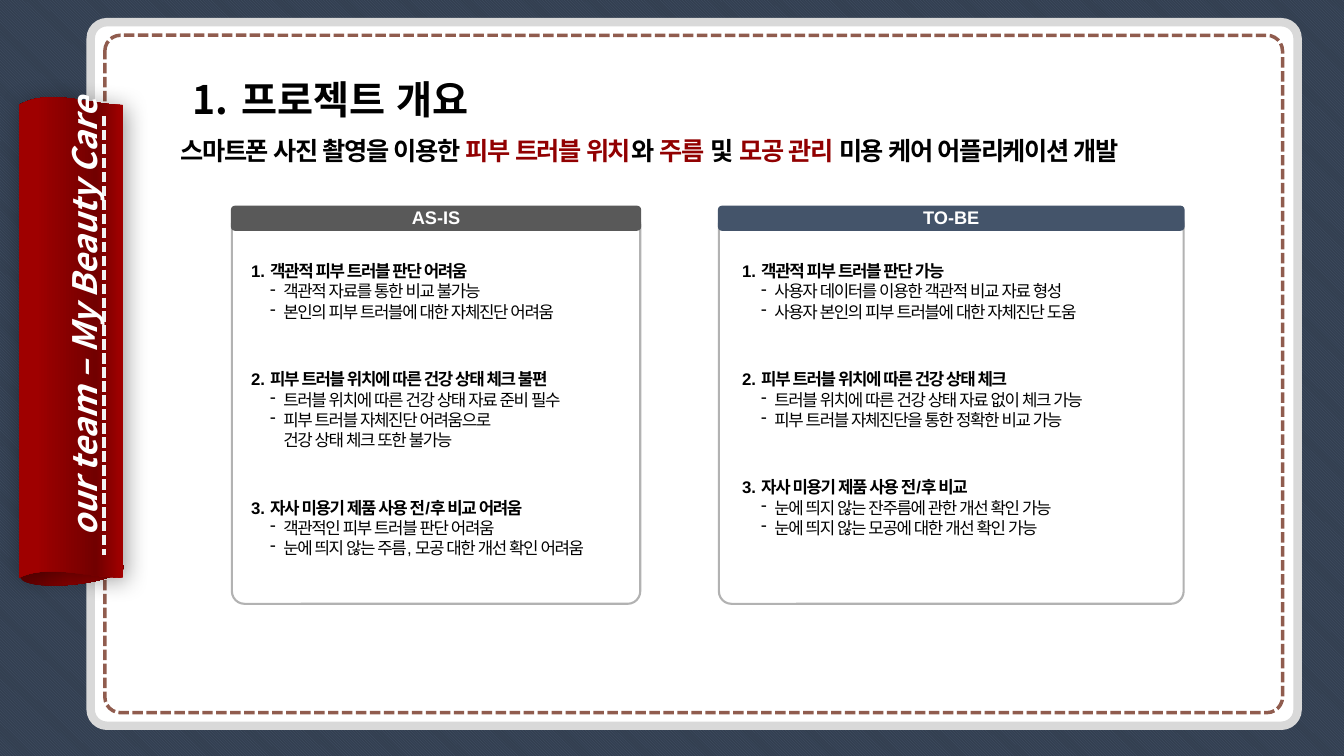
from lxml.etree import SubElement
from pptx import Presentation
from pptx.dml.color import RGBColor
from pptx.enum.dml import MSO_LINE, MSO_PATTERN
from pptx.enum.shapes import MSO_CONNECTOR, MSO_SHAPE
from pptx.enum.text import MSO_ANCHOR, PP_ALIGN
from pptx.oxml.ns import qn
from pptx.util import Inches, Pt

COLORS = {
    "white": "FFFFFF", "black": "000000", "slate": "44546A", "night": "333F50",
    "frame": "D9D9D9", "stitch": "905C4E", "thread": "F2F2F2", "accent": "910001",
    "border": "B2B2B2", "gray": "595959",
}
KOREAN = "Noto Sans CJK KR"
COLUMNS, ROWS = 133.3, 75

AS_IS = [
    ("객관적 피부 트러블 판단 어려움",
     ["객관적 자료를 통한 비교 불가능", "본인의 피부 트러블에 대한 자체진단 어려움"]),
    ("피부 트러블 위치에 따른 건강 상태 체크 불편",
     ["트러블 위치에 따른 건강 상태 자료 준비 필수",
      "피부 트러블 자체진단 어려움으로\v건강 상태 체크 또한 불가능"]),
    ("자사 미용기 제품 사용 전/후 비교 어려움",
     ["객관적인 피부 트러블 판단 어려움", "눈에 띄지 않는 주름, 모공 대한 개선 확인 어려움"]),
]
TO_BE = [
    ("객관적 피부 트러블 판단 가능",
     ["사용자 데이터를 이용한 객관적 비교 자료 형성",
      "사용자 본인의 피부 트러블에 대한 자체진단 도움"]),
    ("피부 트러블 위치에 따른 건강 상태 체크",
     ["트러블 위치에 따른 건강 상태 자료 없이 체크 가능",
      "피부 트러블 자체진단을 통한 정확한 비교 가능"]),
    ("자사 미용기 제품 사용 전/후 비교",
     ["눈에 띄지 않는 잔주름에 관한 개선 확인 가능", "눈에 띄지 않는 모공에 대한 개선 확인 가능"]),
]


def rgb(name):
    return RGBColor.from_string(COLORS[name])


def add_span(para, text, size=12, font="Arial", color="black", bold=False, italic=False, spacing=0):
    span = para.add_run()
    span.text = text
    span.font.size, span.font.bold, span.font.italic = Pt(size), bold, italic
    span.font.name, span.font.color.rgb = font, rgb(color)
    properties = span.font._element
    properties.set("lang", "ko-KR")
    if spacing:
        properties.set("spc", str(spacing * 100))
    SubElement(properties, qn("a:ea")).set("typeface", font)


def add_bullet(para, margin, hanging, number=None):
    properties = para._p.get_or_add_pPr()
    properties.set("marL", str(Inches(margin)))
    properties.set("indent", str(-Inches(hanging)))
    if number:
        mark = SubElement(properties, qn("a:buAutoNum"), type="arabicPeriod")
        mark.set("startAt", str(number))
    else:
        SubElement(properties, qn("a:buChar"), char="-")


def fill_gradient(shape, stops, angle):
    shape.fill.gradient()
    gradient = shape._element.spPr.find(qn("a:gradFill"))
    stop_list = gradient.find(qn("a:gsLst"))
    stop_list.clear()
    for position, color in stops:
        stop = SubElement(stop_list, qn("a:gs"), pos=str(position * 1000))
        SubElement(stop, qn("a:srgbClr"), val=color)
    gradient.find(qn("a:lin")).set("ang", str(angle * 60000))


def curve(start, first, second, end, steps=24):
    for step in range(steps + 1):
        t = step / steps
        weights = ((1 - t) ** 3, 3 * t * (1 - t) ** 2, 3 * t * t * (1 - t), t ** 3)
        yield tuple(sum(w * point[axis] for w, point in zip(weights, (start, first, second, end)))
                    for axis in (0, 1))


class Page:
    def __init__(self, deck):
        self.column = deck.slide_width / COLUMNS
        self.row = deck.slide_height / ROWS
        self.slide = deck.slides.add_slide(deck.slide_layouts[6])
        self.shapes = self.slide.shapes

    def place(self, left, top, width, height):
        return [round(left * self.column), round(top * self.row),
                round(width * self.column), round(height * self.row)]

    def background(self):
        fill = self.slide.background.fill
        fill.patterned()
        fill.pattern = MSO_PATTERN.DARK_DOWNWARD_DIAGONAL
        fill.fore_color.rgb, fill.back_color.rgb = rgb("slate"), rgb("night")

    def shape(self, area, kind=MSO_SHAPE.ROUNDED_RECTANGLE, corner=None, fill=None,
              line=None, weight=1, dash=None):
        shape = self.shapes.add_shape(kind, *self.place(*area))
        shape.shadow.inherit = False
        if corner is not None:
            shape.adjustments[0] = corner
        if fill:
            shape.fill.solid()
            shape.fill.fore_color.rgb = rgb(fill)
        else:
            shape.fill.background()
        if line:
            self.stroke(shape, line, weight, dash)
        else:
            shape.line.fill.background()
        return shape

    def stroke(self, shape, color, weight, dash=None):
        shape.line.color.rgb, shape.line.width = rgb(color), Pt(weight)
        if dash:
            shape.line.dash_style = dash

    def text_box(self, area, inset=0, rotation=0):
        box = self.shapes.add_textbox(*self.place(*area))
        box.rotation = rotation
        frame = box.text_frame
        frame.word_wrap = True
        frame.margin_left = frame.margin_right = Inches(inset)
        frame.margin_top = frame.margin_bottom = Inches(inset / 2)
        return frame

    def ribbon(self):
        curl = self.shape((2, 55.5, 10.3, 2.5), MSO_SHAPE.OVAL)
        curl.rotation = 354.3
        fill_gradient(curl, [(0, "600000"), (50, "890000"), (100, "A20000")], 0)
        outline = [*curve((1.9, 10.4), (5, 8.7), (8.8, 10.4), (12.2, 10.4)),
                   *curve((12.2, 57.3), (8.8, 57.3), (4.8, 55.9), (1.9, 57.3))]
        points = [(x * self.column, y * self.row) for x, y in outline]
        builder = self.shapes.build_freeform(*points[0], scale=1)
        builder.add_line_segments(points[1:], close=True)
        band = builder.convert_to_shape()
        band.shadow.inherit = False
        fill_gradient(band, [(0, "A20000"), (26, "720000"), (84, "9F0000")], 180)
        band.line.fill.background()
        shadow = SubElement(band._element.spPr.find(qn("a:effectLst")), qn("a:outerShdw"),
                            blurRad=str(Pt(17)), dist=str(Pt(3)), dir="2700000")
        tint = SubElement(shadow, qn("a:srgbClr"), val=COLORS["black"])
        SubElement(tint, qn("a:alpha"), val="40000")
        self.stitch(10.3, 11.5, 55.1)

    def stitch(self, column, top, bottom):
        x, y, _, end = self.place(column, top, 0, bottom)
        seam = self.shapes.add_connector(MSO_CONNECTOR.STRAIGHT, x, y, x, end)
        self.stroke(seam, "thread", 2.5, MSO_LINE.SQUARE_DOT)
        SubElement(seam._element.spPr, qn("a:effectLst"))

    def panel(self, left, width, title, color, topics, indent):
        self.shape((left, 21, width, 38.9), corner=0.032, line="border", weight=1.5)
        header = self.shape((left - 0.1, 20.4, width + 0.2, 2.5), corner=0.167, fill=color)
        header.text_frame.word_wrap = False
        header.text_frame.vertical_anchor = MSO_ANCHOR.MIDDLE
        para = header.text_frame.paragraphs[0]
        para.alignment, para.line_spacing = PP_ALIGN.CENTER, 0.9
        add_span(para, title, size=13, color="white", bold=True)
        frame = self.text_box((left + indent, 25.9, width - 3.9, 33))
        for number, (heading, details) in enumerate(topics, 1):
            para = frame.paragraphs[0] if number == 1 else frame.add_paragraph()
            if number > 1:
                para.space_before = Pt(34)
            add_bullet(para, 0.19, 0.19, number)
            add_span(para, heading, bold=True, spacing=-1)
            for detail in details:
                para = frame.add_paragraph()
                add_bullet(para, 0.32, 0.13)
                for index, line in enumerate(detail.split("\v")):
                    if index:
                        para.add_line_break()
                    add_span(para, line, spacing=-1)


def main():
    deck = Presentation()
    deck.slide_width, deck.slide_height = Inches(13.33), Inches(7.5)
    page = Page(deck)
    page.background()
    page.shape((9, 2.2, 119.7, 69.8), corner=0.023, fill="white", line="frame", weight=6)
    page.shape((10.4, 3.5, 116.8, 67.2), corner=0.023, line="stitch", weight=2.5,
               dash=MSO_LINE.SQUARE_DOT)
    page.ribbon()

    title = page.text_box((4.2, 7, 57.2, 5.7), inset=0.1).paragraphs[0]
    title.alignment = PP_ALIGN.CENTER
    add_bullet(title, 0.38, 0.38, 1)
    add_span(title, " 프로젝트 개요", size=28, font=KOREAN, bold=True)

    label = page.text_box((-16.9, 27.2, 47.8, 6.3), inset=0.1, rotation=270).paragraphs[0]
    label.line_spacing = 1.5
    add_span(label, "our team – My Beauty Care", size=24, font=KOREAN, color="white",
             bold=True, italic=True)

    summary = page.text_box((17.9, 13.4, 106.8, 3)).paragraphs[0]
    for text, color in [("스마트폰 사진 촬영을 이용한 ", "black"), ("피부 트러블 위치", "accent"),
                        ("와 ", "black"), ("주름", "accent"), (" 및 ", "black"),
                        ("모공 관리", "accent"), (" 미용 케어 어플리케이션 개발", "black")]:
        add_span(summary, text, size=18, color=color, bold=True, spacing=-1)

    page.panel(71.3, 46.1, "TO-BE", "slate", TO_BE, 2.3)
    page.panel(23, 40.5, "AS-IS", "gray", AS_IS, 1.9)
    deck.save("out.pptx")


if __name__ == "__main__":
    main()
